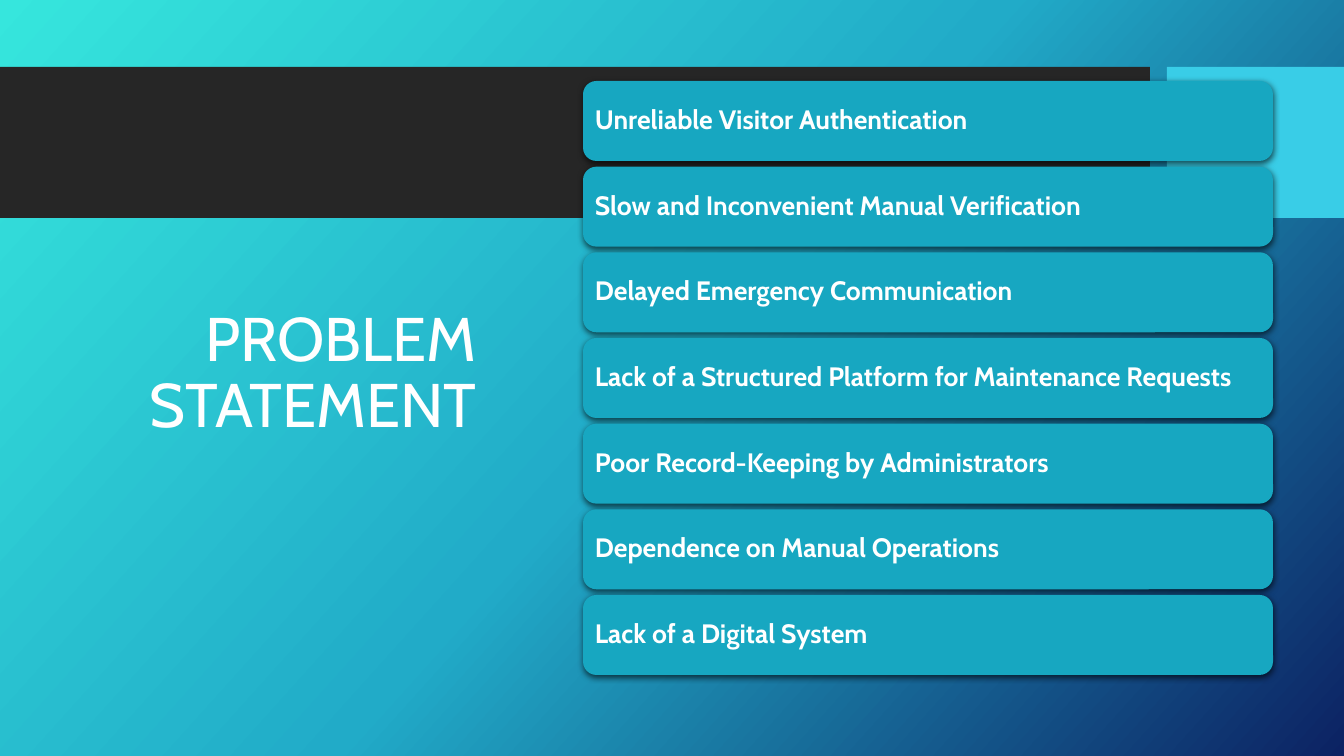
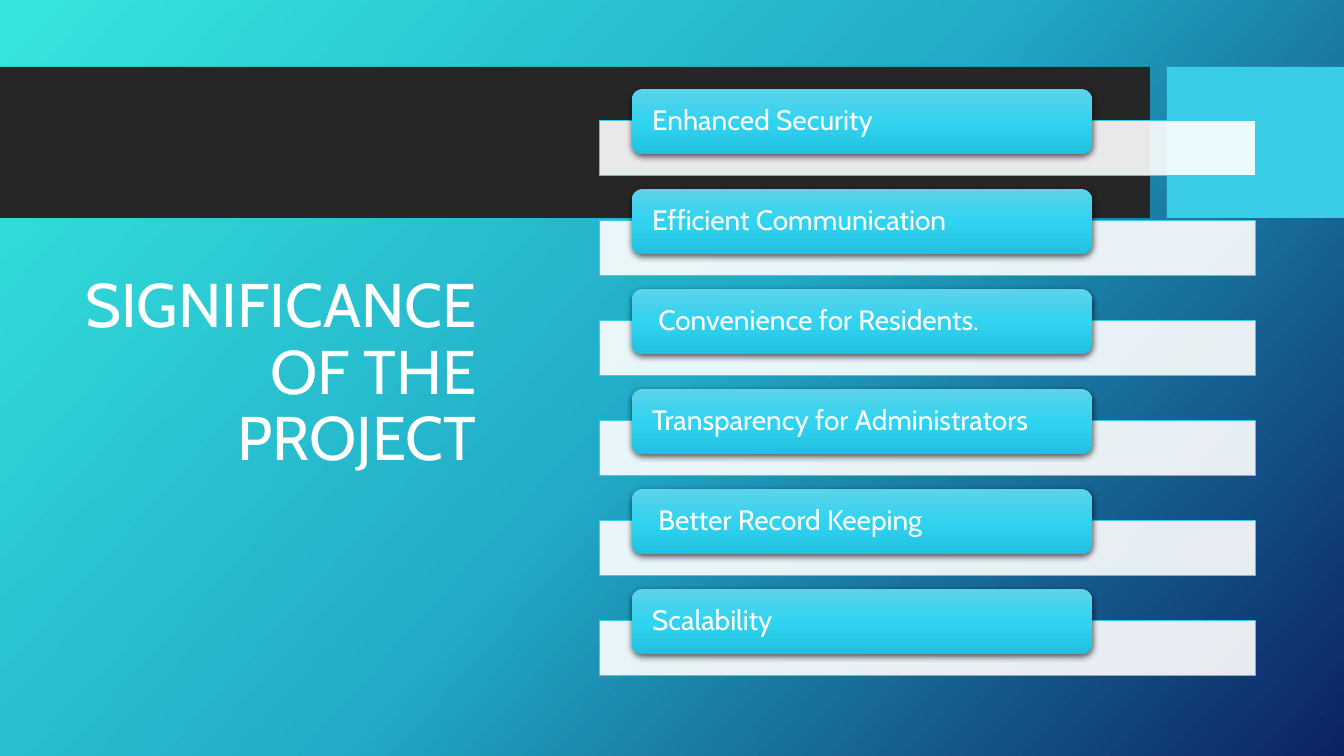
from lxml.etree import SubElement
from pptx import Presentation
from pptx.dml.color import RGBColor
from pptx.enum.shapes import MSO_SHAPE as Preset
from pptx.enum.text import MSO_ANCHOR as Anchor, MSO_AUTO_SIZE as AutoSize, PP_ALIGN as Align
from pptx.oxml.ns import qn
from pptx.util import Emu, Pt

SLIDE_WIDTH, SLIDE_HEIGHT = 1344, 756
EMU_PER_PX = 12192000 / SLIDE_WIDTH
FONT = "Cabin"
WHITE, DARK, CYAN, TEAL = "FFFFFF", "262626", "39CDE7", "17A7C1"
BACKGROUND_STOPS = [(0, "36E6DD"), (50, "21ABC8"), (100, "0C2263")]
LABEL_STOPS = [(0, "5DD3EB"), (50, "30D3F0"), (100, "21C2DF")]

PROBLEMS = [
    "Unreliable Visitor Authentication",
    "Slow and Inconvenient Manual Verification",
    "Delayed Emergency Communication",
    "Lack of a Structured Platform for Maintenance Requests",
    "Poor Record-Keeping by Administrators",
    "Dependence on Manual Operations",
    "Lack of a Digital System",
]
BENEFITS = [
    "Enhanced Security",
    "Efficient Communication",
    " Convenience for Residents.",
    "Transparency for Administrators",
    " Better Record Keeping",
    "Scalability",
]


def px(length):
    """Turn a length in px into EMU."""
    return Emu(round(length * EMU_PER_PX))


def rgb(color):
    """Turn a hex string into a colour."""
    return RGBColor.from_string(color)


def set_gradient(fill, owner, stops, angle):
    """Give a fill, found in its owner element, a linear gradient."""
    fill.gradient()
    gradient = owner.xpath(".//a:gradFill")[0]
    for child in list(gradient):
        gradient.remove(child)
    stop_list = SubElement(gradient, qn("a:gsLst"))
    for position, color in stops:
        stop = SubElement(stop_list, qn("a:gs"), pos=str(position * 1000))
        SubElement(stop, qn("a:srgbClr"), val=color)
    SubElement(gradient, qn("a:lin"), ang=str(angle * 60000), scaled="0")


def set_opacity(shape, percent):
    """Make the solid fill of a shape partly transparent."""
    color = shape.element.spPr.xpath("./a:solidFill/a:srgbClr")[0]
    SubElement(color, qn("a:alpha"), val=str(percent * 1000))


def add_soft_shadow(shape):
    """Add a soft black shadow straight below a shape."""
    effects = shape.element.spPr.find(qn("a:effectLst"))
    shadow = SubElement(effects, qn("a:outerShdw"), blurRad=str(Pt(4.5)), dist=str(Pt(1.5)),
                        dir="5400000", algn="ctr", rotWithShape="0")
    color = SubElement(shadow, qn("a:srgbClr"), val="000000")
    SubElement(color, qn("a:alpha"), val="63000")


def add_box(slide, preset, box, color):
    """Add a flat shape without an outline."""
    shape = slide.shapes.add_shape(preset, *map(px, box))
    shape.shadow.inherit = False
    shape.fill.solid()
    shape.fill.fore_color.rgb = rgb(color)
    shape.line.fill.background()
    return shape


def write_text(shape, text, size, align, bold=False):
    """Write one white paragraph, centred vertically."""
    frame = shape.text_frame
    frame.text = text
    frame.word_wrap = True
    frame.auto_size = AutoSize.NONE
    frame.vertical_anchor = Anchor.MIDDLE
    paragraph = frame.paragraphs[0]
    paragraph.alignment = align
    paragraph.line_spacing = 0.9
    font = paragraph.runs[0].font
    font.name, font.size, font.bold = FONT, Pt(size), bold
    font.color.rgb = rgb(WHITE)


def add_label(slide, box, text, size, margin, bold=False):
    """Add a rounded, shadowed label with left-aligned text."""
    label = add_box(slide, Preset.ROUNDED_RECTANGLE, box, TEAL)
    add_soft_shadow(label)
    write_text(label, text, size, Align.LEFT, bold)
    frame = label.text_frame
    frame.margin_left = frame.margin_right = px(margin)
    frame.margin_top = frame.margin_bottom = 0
    return label


def add_titled_slide(presentation, text):
    """Add a slide with the shared background, bands and title."""
    slide = presentation.slides.add_slide(presentation.slide_layouts[5])
    set_gradient(slide.background.fill, slide.element, BACKGROUND_STOPS, 42)
    add_box(slide, Preset.RECTANGLE, (0, 67, 1150, 151), DARK)
    add_box(slide, Preset.RECTANGLE, (1167, 67, 177, 151), CYAN)
    title = slide.shapes.title
    title.left, title.top, title.width, title.height = map(px, (75, 228, 412, 293))
    write_text(title, text, 44, Align.RIGHT)
    return slide


def add_problem_list(slide):
    """Stack the problem labels at equal distances."""
    first, last = 81, 595
    pitch = (last - first) / (len(PROBLEMS) - 1)
    for index, problem in enumerate(PROBLEMS):
        add_label(slide, (583, first + index * pitch, 690, 80), problem, 19, 8, bold=True)


def add_benefit_list(slide):
    """Stack the benefit labels, each over a pale bar."""
    for index, benefit in enumerate(BENEFITS):
        top = 89 + index * 100
        bar = add_box(slide, Preset.RECTANGLE, (600, top + 32, 656, 55), WHITE)
        set_opacity(bar, 90)
        bar.line.color.rgb = rgb(CYAN)
        bar.line.width = Pt(0.75)
        label = add_label(slide, (632, top, 460, 65), benefit, 20, 17)
        set_gradient(label.fill, label.element.spPr, LABEL_STOPS, 90)


def main():
    """Build and save the presentation."""
    presentation = Presentation()
    presentation.slide_width, presentation.slide_height = px(SLIDE_WIDTH), px(SLIDE_HEIGHT)
    add_problem_list(add_titled_slide(presentation, "PROBLEM STATEMENT"))
    add_benefit_list(add_titled_slide(presentation, "SIGNIFICANCE OF THE PROJECT"))
    presentation.save("out.pptx")


if __name__ == "__main__":
    main()
